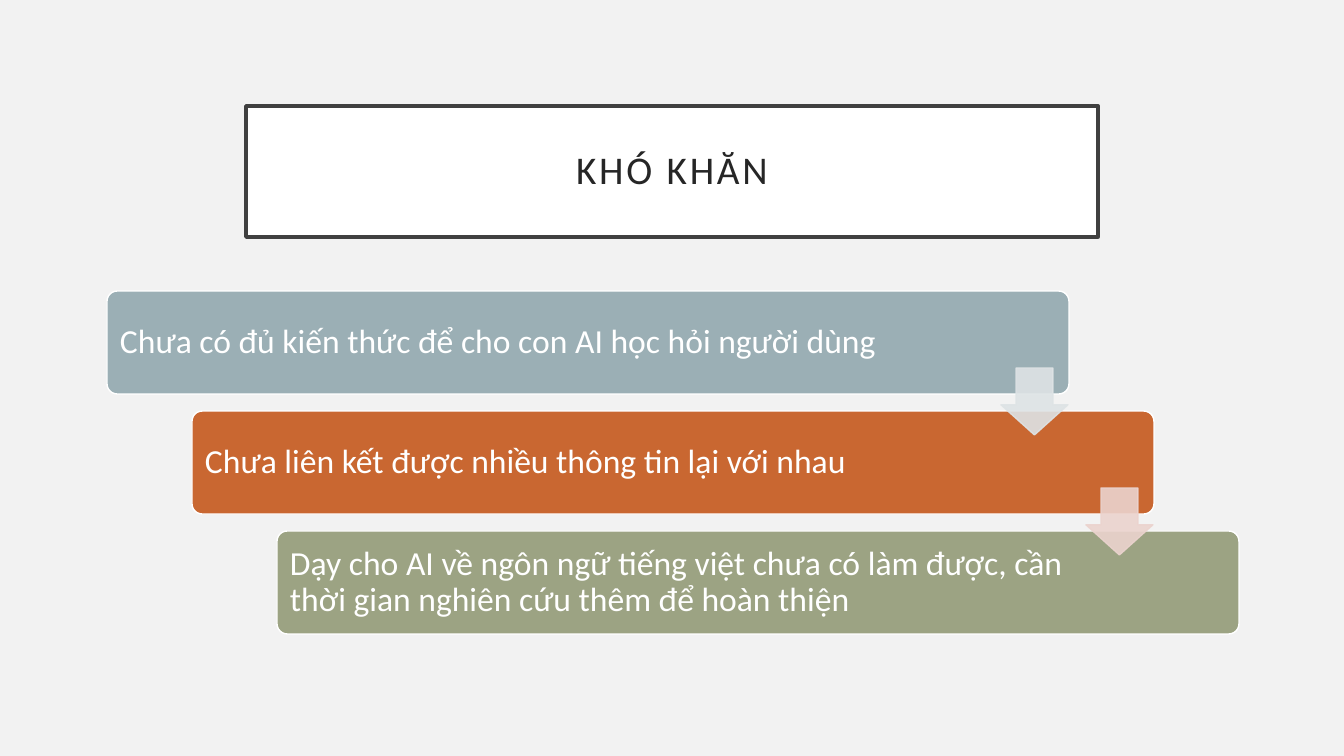
from dataclasses import dataclass

import pptx
import pptx.dml.color
import pptx.enum.shapes
import pptx.enum.text
import pptx.oxml.ns
import pptx.util
from lxml import etree

EMU_PER_PX = 914400 / 100.8
FONT = "Calibri"
SHAPE = pptx.enum.shapes.MSO_SHAPE
ALIGN = pptx.enum.text.PP_ALIGN

# Staircase geometry in px
BAR_LEFT, BAR_TOP, BAR_WIDTH, BAR_HEIGHT = 107, 291, 962, 103
STEP_X, STEP_Y = 85, 120
BAR_PADDING = 3
ARROW_LEFT, ARROW_TOP, ARROW_SIZE = 1001, 368, 67


@dataclass(frozen=True)
class Step:
    text: str
    fill: str
    text_width: int


STEPS = [
    Step("Chưa có đủ kiến thức để cho con AI học hỏi người dùng", "9BAFB5", 851),
    Step("Chưa liên kết được nhiều thông tin lại với nhau", "C96731", 803),
    Step("Dạy cho AI về ngôn ngữ tiếng việt chưa có làm được, "
         "cần thời gian nghiên cứu thêm để hoàn thiện", "9CA383", 803),
]
ARROW_COLORS = ["DEE3E5", "EBD3CE"]


def px(length: int) -> pptx.util.Emu:
    return pptx.util.Emu(round(length * EMU_PER_PX))


def rgb(color: str) -> pptx.dml.color.RGBColor:
    return pptx.dml.color.RGBColor.from_string(color)


def paint(shape, fill: str, line: str, line_width: float) -> None:
    shape.fill.solid()
    shape.fill.fore_color.rgb = rgb(fill)
    shape.line.color.rgb = rgb(line)
    shape.line.width = pptx.util.Pt(line_width)


def set_opacity(shape, percent: int) -> None:
    tag = pptx.oxml.ns.qn("a:srgbClr")
    for color in shape._element.spPr.iter(tag):
        alpha = etree.SubElement(color, pptx.oxml.ns.qn("a:alpha"))
        alpha.set("val", str(percent * 1000))


def write(shape, text: str, *, size: int, color: str, inset: int,
          align=ALIGN.LEFT, tracking: int = 0) -> None:
    frame = shape.text_frame
    frame.word_wrap = True
    frame.auto_size = pptx.enum.text.MSO_AUTO_SIZE.NONE
    frame.vertical_anchor = pptx.enum.text.MSO_ANCHOR.MIDDLE
    frame.margin_left = frame.margin_right = px(inset)
    frame.margin_top = frame.margin_bottom = px(inset)
    para = frame.paragraphs[0]
    para.alignment = align
    para.line_spacing = 0.9
    span = para.add_run()
    span.text = text
    span.font.name = FONT
    span.font.size = pptx.util.Pt(size)
    span.font.color.rgb = rgb(color)
    if tracking:
        span.font._element.set("spc", str(tracking * 100))


def add_title(page, text: str) -> None:
    title = page.shapes.title
    title.left, title.top, title.width, title.height = map(px, (246, 106, 852, 131))
    paint(title, "FFFFFF", "404040", 2.5)
    write(title, text, size=28, color="262626", inset=20,
          align=ALIGN.CENTER, tracking=2)


def add_step(page, index: int, step: Step) -> None:
    left, top = BAR_LEFT + index * STEP_X, BAR_TOP + index * STEP_Y
    bar = page.shapes.add_shape(SHAPE.ROUNDED_RECTANGLE, px(left), px(top),
                                px(BAR_WIDTH), px(BAR_HEIGHT))
    bar.adjustments[0] = 0.1
    bar.shadow.inherit = False
    paint(bar, step.fill, "FFFFFF", 1)
    box = page.shapes.add_textbox(px(left + BAR_PADDING), px(top + BAR_PADDING),
                                  px(step.text_width),
                                  px(BAR_HEIGHT - 2 * BAR_PADDING))
    write(box, step.text, size=24, color="FFFFFF", inset=10)


def add_arrow(page, index: int, color: str) -> None:
    arrow = page.shapes.add_shape(SHAPE.DOWN_ARROW,
                                  px(ARROW_LEFT + index * STEP_X),
                                  px(ARROW_TOP + index * STEP_Y),
                                  px(ARROW_SIZE), px(ARROW_SIZE))
    arrow.adjustments[0] = 0.55
    arrow.adjustments[1] = 0.45
    arrow.shadow.inherit = False
    paint(arrow, color, color, 1)
    set_opacity(arrow, 90)


def main() -> None:
    deck = pptx.Presentation()
    deck.slide_width, deck.slide_height = px(1344), px(756)
    page = deck.slides.add_slide(deck.slide_layouts[5])
    page.background.fill.solid()
    page.background.fill.fore_color.rgb = rgb("F2F2F2")

    add_title(page, "KHÓ KHĂN")
    # Bars first, so that the arrows lie on top of them
    for index, step in enumerate(STEPS):
        add_step(page, index, step)
    for index, color in enumerate(ARROW_COLORS):
        add_arrow(page, index, color)
    deck.save("out.pptx")


if __name__ == "__main__":
    main()
